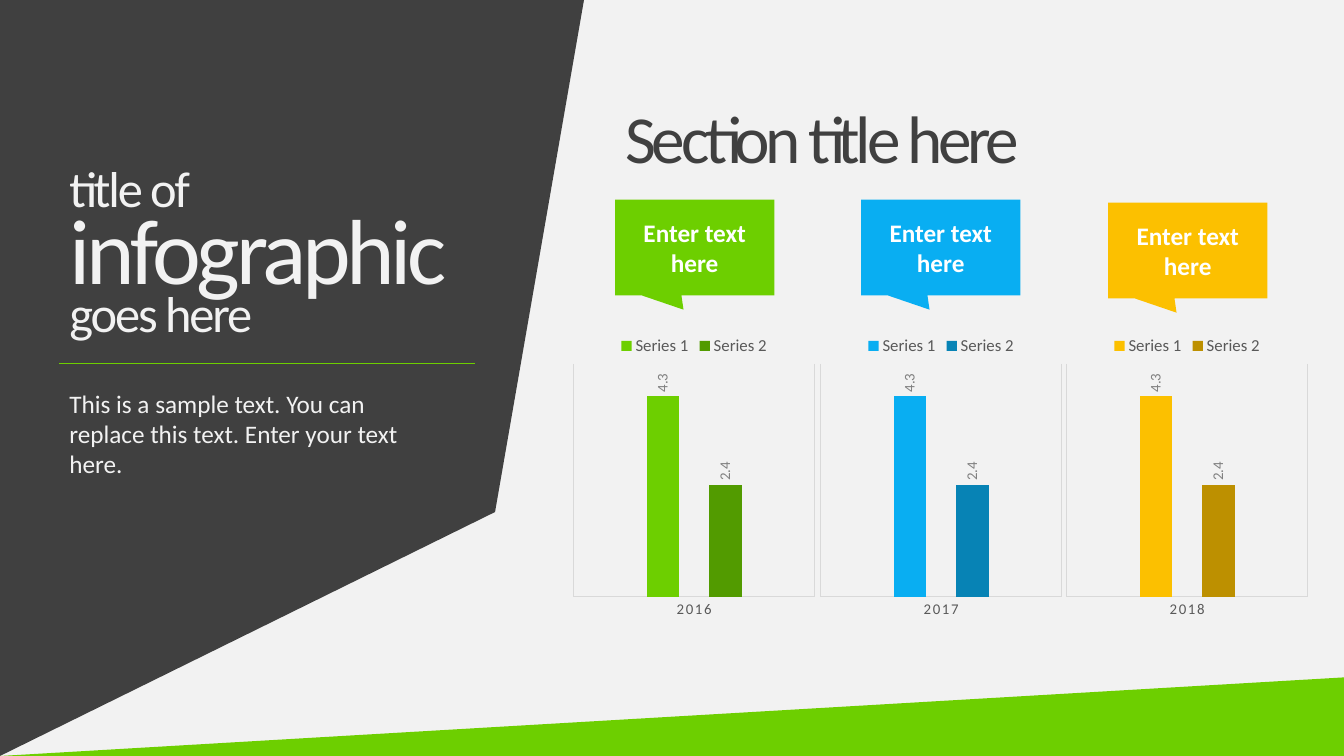
import pptx
import pptx.chart.data
import pptx.dml.color
import pptx.enum.chart
import pptx.enum.shapes
import pptx.enum.text
import pptx.util
from lxml import etree

PX = 9144  # 100 px to the inch
FONT = "Calibri"
DARK, LIGHT, GREEN = "404040", "F2F2F2", "6DCF00"
WIDTH, HEIGHT = 1333, 750


def color(hex_string):
    return pptx.dml.color.RGBColor.from_string(hex_string)


def write(shape, text, size, fill=LIGHT, bold=False, spacing=0, align="LEFT", anchor="MIDDLE", grow=True):
    frame = shape.text_frame
    frame.word_wrap = True
    frame.vertical_anchor = pptx.enum.text.MSO_ANCHOR[anchor]
    fit = pptx.enum.text.MSO_AUTO_SIZE
    frame.auto_size = fit.SHAPE_TO_FIT_TEXT if grow else fit.NONE
    paragraph = frame.paragraphs[0]
    paragraph.alignment = pptx.enum.text.PP_ALIGN[align]
    run = paragraph.add_run()
    run.text = text
    run.font.name = FONT
    run.font.size = pptx.util.Pt(size)
    run.font.bold = bold
    run.font.color.rgb = color(fill)
    if spacing:
        run.font._element.set("spc", str(spacing))


presentation = pptx.Presentation()
presentation.slide_width = WIDTH * PX
presentation.slide_height = HEIGHT * PX
slide = presentation.slides.add_slide(presentation.slide_layouts[5])
slide.background.fill.solid()
slide.background.fill.fore_color.rgb = color(LIGHT)

# Section title
title = slide.shapes.title
title.left, title.top, title.width, title.height = [n * PX for n in (610, 90, 647, 91)]
write(title, "Section title here", 48, fill=DARK, spacing=-300)

# Dark panel and green wedge
builder = slide.shapes.build_freeform(0, -8, scale=PX)
builder.add_line_segments([(581, -10), (491, 508), (0, 750)])
panel = builder.convert_to_shape()
wedge = slide.shapes.add_shape(
    pptx.enum.shapes.MSO_SHAPE.RIGHT_TRIANGLE, 0, 672 * PX, WIDTH * PX, 78 * PX)
wedge._element.spPr.xfrm.set("flipH", "1")
for shape, fill in ((panel, DARK), (wedge, GREEN)):
    shape.shadow.inherit = False
    shape.fill.solid()
    shape.fill.fore_color.rgb = color(fill)
    shape.line.fill.background()

# Text on the panel
for text, top, width, height, size, spacing, anchor in (
    ("infographic", 185, 440, 121, 66, -300, "MIDDLE"),
    ("title of", 150, 377, 71, 36, -150, "MIDDLE"),
    ("goes here", 274, 377, 71, 36, -150, "MIDDLE"),
    ("This is a sample text. You can replace this text. Enter your text here.",
     380, 384, 101, 18, 0, "TOP"),
):
    box = slide.shapes.add_textbox(59 * PX, top * PX, width * PX, height * PX)
    write(box, text, size, spacing=spacing, anchor=anchor)

divider = slide.shapes.add_connector(
    pptx.enum.shapes.MSO_CONNECTOR.STRAIGHT, 59 * PX, 360 * PX, 471 * PX, 360 * PX)
divider.line.color.rgb = color(GREEN)
divider.line.width = pptx.util.Pt(0.5)
etree.SubElement(divider._element.spPr, pptx.oxml.ns.qn("a:effectLst"))

# One callout and one chart for each year
for chart_left, callout_left, callout_top, year, main, shade in (
    (564, 610, 198, "2016", GREEN, "529B00"),
    (809, 854, 198, "2017", "09AEF2", "0783B5"),
    (1053, 1099, 201, "2018", "FCC000", "BD9000"),
):
    callout = slide.shapes.add_shape(
        pptx.enum.shapes.MSO_SHAPE.RECTANGULAR_CALLOUT,
        callout_left * PX, callout_top * PX, 158 * PX, 95 * PX)
    callout.adjustments[0] = -0.07
    callout.adjustments[1] = 0.65
    callout.shadow.inherit = False
    callout.fill.solid()
    callout.fill.fore_color.rgb = color(main)
    callout.line.fill.background()
    write(callout, "Enter text here", 18, fill="FFFFFF", bold=True, align="CENTER", grow=False)

    data = pptx.chart.data.CategoryChartData()
    data.categories = [year]
    data.add_series("Series 1", [4.3])
    data.add_series("Series 2", [2.4])
    chart = slide.shapes.add_chart(
        pptx.enum.chart.XL_CHART_TYPE.COLUMN_CLUSTERED,
        chart_left * PX, 322 * PX, 249 * PX, 300 * PX, data).chart
    chart.has_title = False
    chart.font.name = FONT
    chart.font.size = pptx.util.Pt(10)
    chart.has_legend = True
    chart.legend.position = pptx.enum.chart.XL_LEGEND_POSITION.TOP
    chart.legend.include_in_layout = False

    value_axis = chart.value_axis
    value_axis.minimum_scale, value_axis.maximum_scale = 0, 5
    value_axis.has_major_gridlines = False
    value_axis.visible = False
    year_axis = chart.category_axis
    year_axis.major_tick_mark = pptx.enum.chart.XL_TICK_MARK.NONE
    year_axis.has_major_gridlines = True
    for line in (year_axis.format.line, year_axis.major_gridlines.format.line):
        line.color.rgb = color("D9D9D9")
        line.width = pptx.util.Pt(0.75)

    plot = chart.plots[0]
    plot.vary_by_categories = False
    plot.gap_width, plot.overlap = 444, -90
    fonts = [(chart.legend.font, 12, "595959"), (year_axis.tick_labels.font, 10.6, "595959")]
    for series, fill in zip(plot.series, (main, shade)):
        series.format.fill.solid()
        series.format.fill.fore_color.rgb = color(fill)
        labels = series.data_labels
        labels.show_value = True
        labels.position = pptx.enum.chart.XL_LABEL_POSITION.OUTSIDE_END
        fonts.append((labels.font, 10.6, "808080"))
        body = labels._element.find(".//" + pptx.oxml.ns.qn("a:bodyPr"))
        body.set("rot", "-5400000")
        body.set("vert", "horz")
    for font, size, fill in fonts:
        font.name = FONT
        font.size = pptx.util.Pt(size)
        font.color.rgb = color(fill)
    year_axis.tick_labels.font._element.set("spc", "120")

    # Fixed inner plot area, as fractions of the chart
    plot_area = chart._chartSpace.chart.plotArea
    for layout in plot_area.findall(pptx.oxml.ns.qn("c:layout")):
        plot_area.remove(layout)
    layout = etree.Element(pptx.oxml.ns.qn("c:layout"))
    manual = etree.SubElement(layout, pptx.oxml.ns.qn("c:manualLayout"))
    for tag, value in (("layoutTarget", "inner"), ("xMode", "edge"), ("yMode", "edge"),
                       ("x", "0.02"), ("y", "0.13"), ("w", "0.96"), ("h", "0.77")):
        etree.SubElement(manual, pptx.oxml.ns.qn("c:" + tag)).set("val", value)
    plot_area.insert(0, layout)

presentation.save("out.pptx")
